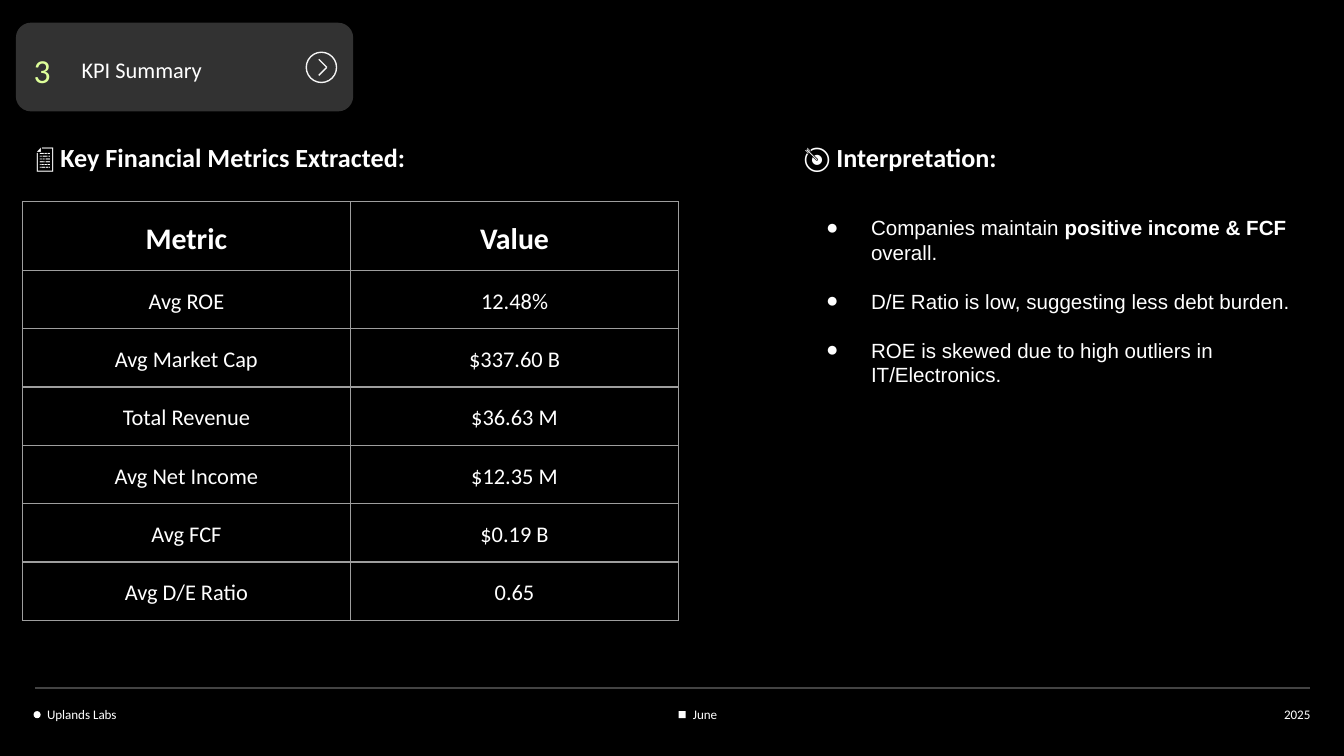
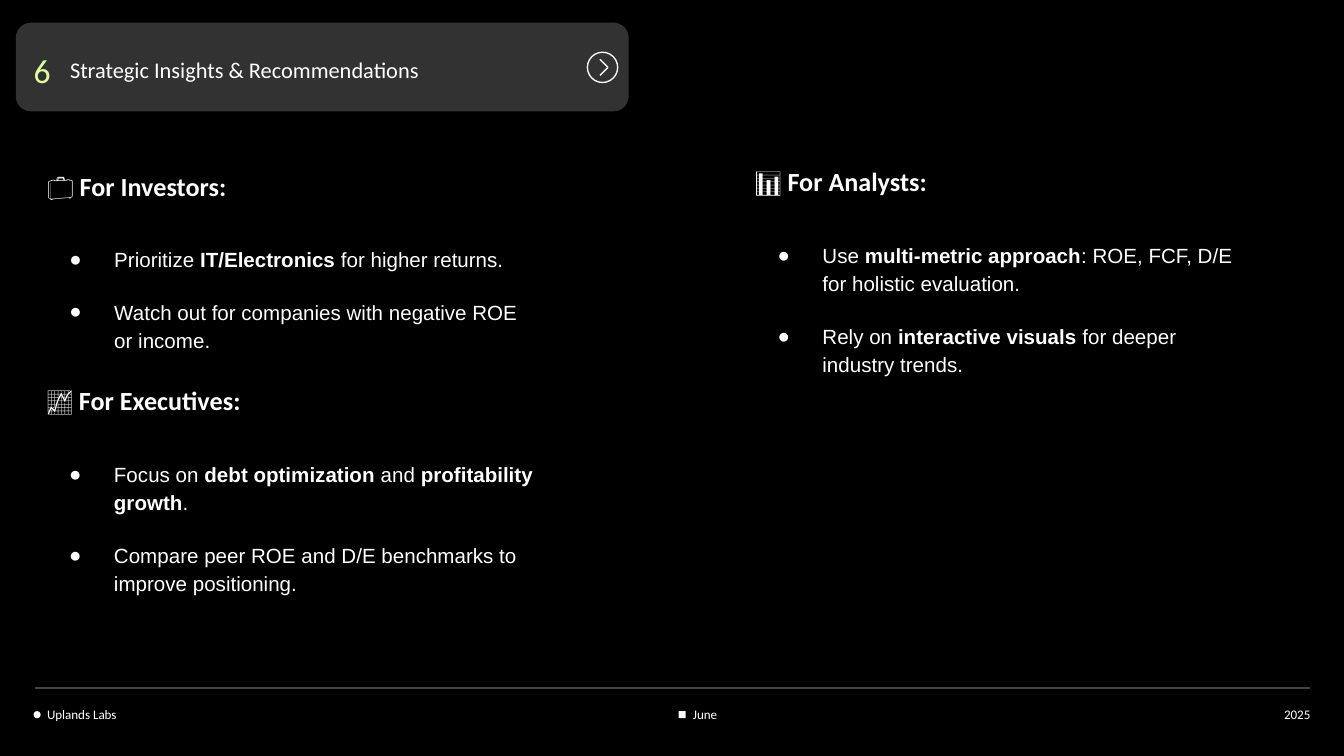
import lxml.etree
import pptx
import pptx.dml.color
import pptx.enum.shapes
import pptx.enum.text
import pptx.oxml.ns
import pptx.util

Pt = pptx.util.Pt
Color = pptx.dml.color.RGBColor
Shape = pptx.enum.shapes.MSO_SHAPE
Align = pptx.enum.text.PP_ALIGN
Anchor = pptx.enum.text.MSO_ANCHOR

BLACK = Color(0x00, 0x00, 0x00)
WHITE = Color(0xFF, 0xFF, 0xFF)
LIME = Color(0xDE, 0xFF, 0x9A)
CARD = Color(0x32, 0x32, 0x32)
RULE = Color(0x43, 0x43, 0x43)
GRID = Color(0x9E, 0x9E, 0x9E)
RING = Color(0xF5, 0xF5, 0xF5)

METRICS = [
    ("Metric", "Value"),
    ("Avg ROE", "12.48%"),
    ("Avg Market Cap", "$337.60 B"),
    ("Total Revenue", "$36.63 M"),
    ("Avg Net Income", "$12.35 M"),
    ("Avg FCF", "$0.19 B"),
    ("Avg D/E Ratio", "0.65"),
]


def node(parent, tag, **attrs):
    child = lxml.etree.SubElement(parent, pptx.oxml.ns.qn(tag))
    for key, value in attrs.items():
        child.set(key, str(value))
    return child


def write(frame, text, font="Calibri", size=12, color=WHITE, bold=False,
          align=Align.LEFT, lead=1.0, gap=0, bullet=False):
    lines = text.split("\n")
    for index, line in enumerate(lines):
        para = frame.add_paragraph() if index else frame.paragraphs[0]
        para.alignment = align
        para.line_spacing = lead
        para.space_before = Pt(0)
        para.space_after = Pt(gap if index < len(lines) - 1 else 0)
        for part, piece in enumerate(line.split("**")):
            if piece:
                run = para.add_run()
                run.text = piece
                run.font.name = font
                run.font.size = Pt(size)
                run.font.color.rgb = color
                run.font.bold = bold or part % 2 == 1
        if bullet:
            props = para._p.get_or_add_pPr()
            props.set("marL", str(Pt(36)))
            props.set("indent", str(Pt(-24)))
            node(node(props, "a:buClr"), "a:srgbClr", val=color)
            node(props, "a:buFont", typeface=font)
            node(props, "a:buChar", char="●")


class Deck:
    def __init__(self):
        self.show = pptx.Presentation()
        self.show.slide_width = Pt(720)
        self.show.slide_height = Pt(405)
        back = self.show.slide_master.background.fill
        back.solid()
        back.fore_color.rgb = BLACK

    def start(self, number, title, width, left, ring):
        self.slide = self.show.slides.add_slide(self.show.slide_layouts[4])
        self.foot()
        self.shape(Shape.ROUNDED_RECTANGLE, 8.5, 12.2, width, 47.5,
                   fill=CARD).adjustments[0] = 0.17
        self.arrow(ring)
        self.text(number, 18, 28, 25, 23, pads=(0, 0, 7.2, 7.2),
                  anchor=Anchor.MIDDLE, size=18, color=LIME, lead=1.15)
        self.text(title, left, 24.5, 257, 23, slot=0, pads=(0, 0, 7.2, 0),
                  anchor=Anchor.MIDDLE, lead=1.15)

    def foot(self):
        self.line(18.7, 368.6, 702, 368.6, RULE)
        self.shape(Shape.OVAL, 18, 381, 3.8, 3.8, fill=WHITE)
        self.shape(Shape.RECTANGLE, 363.6, 381, 3.8, 3.8, fill=WHITE)
        for label, left, width, align in (
                ("Uplands Labs", 25.2, 212, Align.LEFT),
                ("June", 371.2, 181, Align.LEFT),
                ("2025", 540, 162, Align.RIGHT)):
            self.text(label, left, 368.4, width, 18.4, pads=(0, 0, 0, 0),
                      anchor=Anchor.BOTTOM, size=7, align=align, lead=1.15)

    def shape(self, kind, left, top, width, height, fill=None, line=None, group=None):
        home = group or self.slide
        item = home.shapes.add_shape(kind, Pt(left), Pt(top), Pt(width), Pt(height))
        item.shadow.inherit = False
        if fill is None:
            item.fill.background()
        else:
            item.fill.solid()
            item.fill.fore_color.rgb = fill
        if line is None:
            item.line.fill.background()
        else:
            item.line.color.rgb = line
            item.line.width = Pt(0.75)
        return item

    def line(self, left, top, right, low, color, group=None):
        home = group or self.slide
        item = home.shapes.add_connector(
            pptx.enum.shapes.MSO_CONNECTOR.STRAIGHT,
            Pt(left), Pt(top), Pt(right), Pt(low))
        item.line.color.rgb = color
        item.line.width = Pt(0.75)
        node(item.element.spPr, "a:effectLst")

    def arrow(self, left):
        group = self.slide.shapes.add_group_shape()
        self.shape(Shape.OVAL, left, 28, 16.2, 16.2, line=RING, group=group)
        for rise in (4.3, -4.3):
            self.line(left + 6.7, 36.1 + rise, left + 11, 36.1, RING, group)

    def text(self, text, left, top, width, height, slot=None,
             pads=(7.2, 7.2, 7.2, 7.2), anchor=Anchor.TOP, **style):
        if slot is None:
            box = self.slide.shapes.add_textbox(0, 0, 0, 0)
        else:
            box = self.slide.placeholders[slot]
            box.element.getparent().append(box.element)
        box.left, box.top = Pt(left), Pt(top)
        box.width, box.height = Pt(width), Pt(height)
        frame = box.text_frame
        frame.auto_size = pptx.enum.text.MSO_AUTO_SIZE.NONE
        frame.word_wrap = True
        frame.vertical_anchor = anchor
        (frame.margin_left, frame.margin_top,
         frame.margin_right, frame.margin_bottom) = map(Pt, pads)
        write(frame, text, **style)

    def head(self, text, left, top, slot=None):
        self.text(text, left, top, 278.6, 31.7, slot, size=14, bold=True)

    def list(self, text, left, top, height, slot=None, lead=1.15):
        self.text(text, left, top, 278.6, height, slot, font="Arial",
                  size=11, lead=lead, gap=13, bullet=True)

    def table(self, rows, left, top, width, first, rest):
        count, cols = len(rows), len(rows[0])
        table = self.slide.shapes.add_table(
            count, cols, Pt(left), Pt(top), Pt(width),
            Pt(first + rest * (count - 1))).table
        table.first_row = table.horz_banding = False
        for index, row in enumerate(rows):
            table.rows[index].height = Pt(rest if index else first)
            for place, text in enumerate(row):
                self.cell(table.cell(index, place), text, index == 0)

    def cell(self, cell, text, header):
        cell.margin_left = cell.margin_right = Pt(7.2)
        cell.margin_top = cell.margin_bottom = Pt(7.2)
        cell.vertical_anchor = Anchor.MIDDLE
        props = cell._tc.get_or_add_tcPr()
        for side in "LRTB":
            edge = node(props, "a:ln" + side, w=Pt(0.75))
            node(node(edge, "a:solidFill"), "a:srgbClr", val=GRID)
        cell.fill.background()
        write(cell.text_frame, text, size=16 if header else 12, bold=header,
              align=Align.CENTER, lead=1.15)

    def clean(self):
        for holder in list(self.slide.placeholders):
            if not holder.text_frame.text:
                holder.element.getparent().remove(holder.element)


def main():
    deck = Deck()

    deck.start("3", "KPI Summary", 180.7, 43.7, 164.1)
    deck.head("📄 Key Financial Metrics Extracted:", 12, 68.4, slot=1)
    deck.table(METRICS, 12, 108, 351.6, 30.2, 25.9)
    deck.head("🎯 Interpretation:", 423.4, 68.4, slot=3)
    deck.list("Companies maintain **positive income & FCF** overall.\n"
              "D/E Ratio is low, suggesting less debt burden.\n"
              "ROE is skewed due to high outliers in IT/Electronics.",
              423.4, 108, 121, slot=4, lead=1.0)
    deck.clean()

    deck.start("6", "Strategic Insights & Recommendations", 328.3, 37.5, 314.7)
    deck.head("💼 For Investors:", 18, 84.2, slot=1)
    deck.list("Prioritize **IT/Electronics** for higher returns.\n"
              "Watch out for companies with negative ROE or income.",
              18, 123.1, 74.2, slot=2)
    deck.head("📈 For Executives:", 18, 198.7)
    deck.list("Focus on **debt optimization** and **profitability growth**.\n"
              "Compare peer ROE and D/E benchmarks to improve positioning.",
              18, 238.3, 89.3)
    deck.head("📊 For Analysts:", 397.4, 81.4, slot=3)
    deck.list("Use **multi-metric approach**: ROE, FCF, D/E for holistic evaluation.\n"
              "Rely on **interactive visuals** for deeper industry trends.",
              397.4, 121, 89.3, slot=4)
    deck.clean()

    deck.show.save("out.pptx")


if __name__ == "__main__":
    main()
